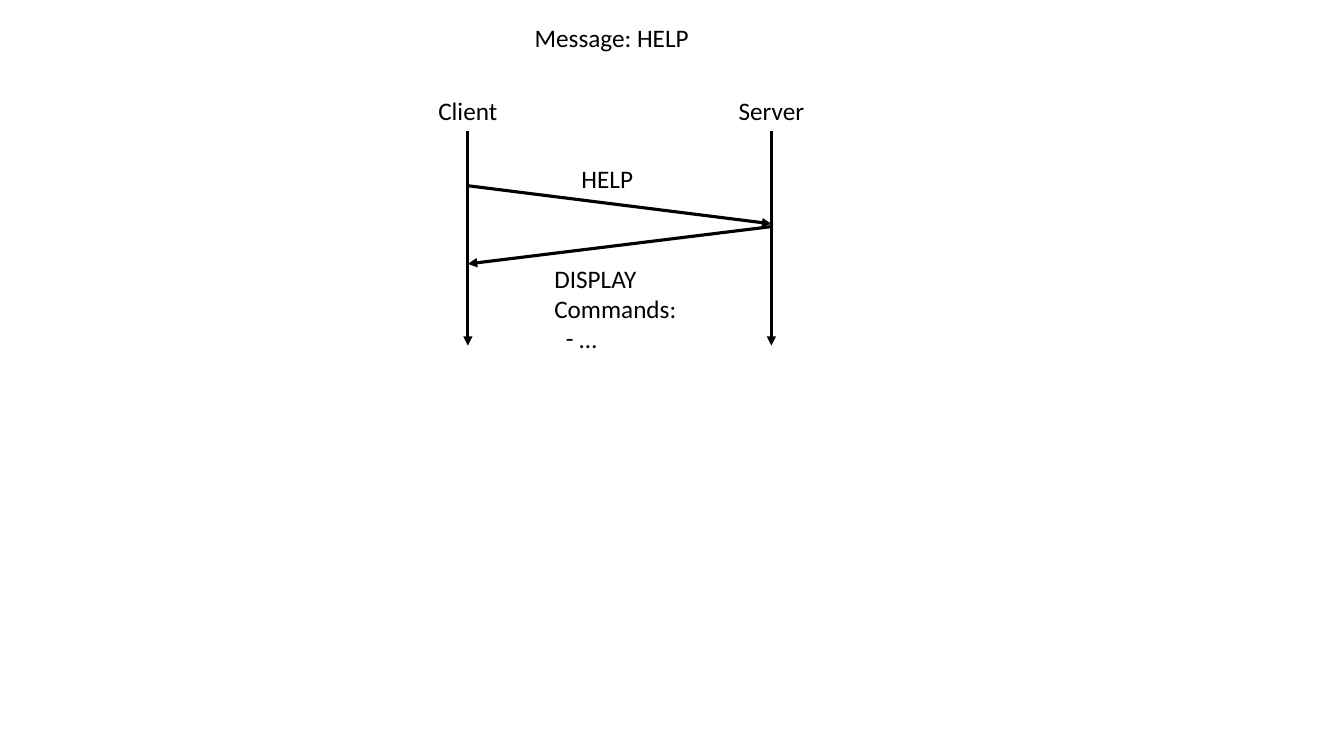
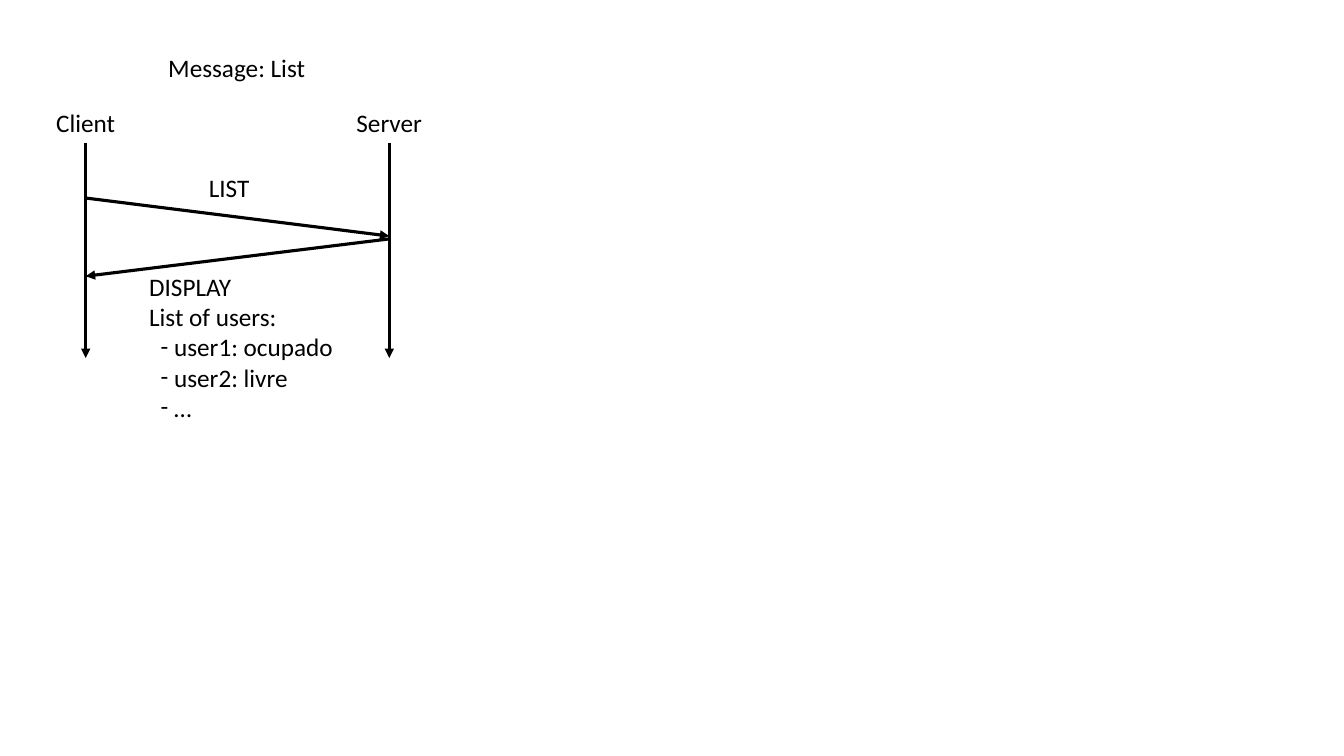
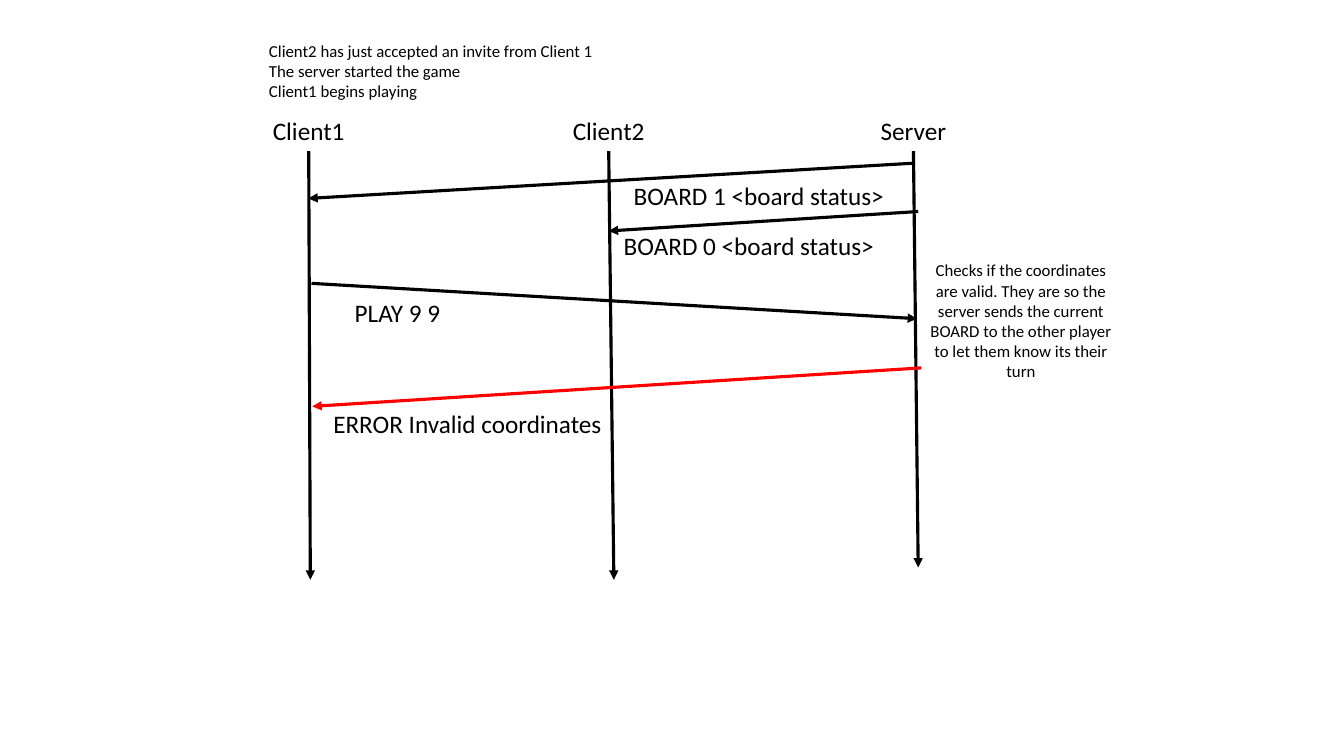
from lxml.etree import SubElement
from pptx import Presentation
from pptx.dml.color import RGBColor
from pptx.enum.shapes import MSO_CONNECTOR
from pptx.enum.text import MSO_ANCHOR, MSO_AUTO_SIZE, PP_ALIGN
from pptx.oxml.ns import qn
from pptx.util import Cm, Pt

FONT = "Calibri"
BLACK = "000000"
RED = "FF0000"
BODY_SIZE = 18
NOTE_SIZE = 12
LINE_HEIGHT = 1.02
TITLE_WIDTH = 5.89
NAME_WIDTH = 2.87
LIFELINE_GAP = 7.65
LIFELINE_LENGTH = 5.41
TITLE_ONLY = 5
BLANK = 6


def colour(hex_code):
    """Turn a hex string into a colour."""
    return RGBColor.from_string(hex_code)


def format_text(frame, size=BODY_SIZE, align=PP_ALIGN.LEFT):
    """Give every paragraph of a frame the shared text style."""
    frame.word_wrap = True
    frame.vertical_anchor = MSO_ANCHOR.TOP
    for paragraph in frame.paragraphs:
        paragraph.alignment = align
        for run in paragraph.runs:
            run.font.name = FONT
            run.font.size = Pt(size)
            run.font.color.rgb = colour(BLACK)


def add_text(slide, text, left, top, width, height=LINE_HEIGHT,
             size=BODY_SIZE, align=PP_ALIGN.LEFT):
    """Add a text box and return its frame."""
    box = slide.shapes.add_textbox(Cm(left), Cm(top), Cm(width), Cm(height))
    box.text_frame.text = text
    format_text(box.text_frame, size, align)
    return box.text_frame


def add_title(slide, text, left, top):
    """Place and format the title placeholder."""
    title = slide.shapes.title
    title.left, title.top = Cm(left), Cm(top)
    title.width, title.height = Cm(TITLE_WIDTH), Cm(LINE_HEIGHT)
    title.text_frame.text = text
    title.text_frame.auto_size = MSO_AUTO_SIZE.NONE
    format_text(title.text_frame, align=PP_ALIGN.CENTER)


def add_arrow(slide, start, end, hex_code=BLACK):
    """Draw a line with an arrowhead at its end."""
    points = [Cm(value) for value in (*start, *end)]
    arrow = slide.shapes.add_connector(MSO_CONNECTOR.STRAIGHT, *points)
    arrow.line.color.rgb = colour(hex_code)
    arrow.line.width = Pt(2.25)
    SubElement(arrow.line._get_or_add_ln(), qn("a:tailEnd"), type="triangle")
    SubElement(arrow._element.spPr, qn("a:effectLst"))


def add_participant(slide, name, start, end):
    """Draw a lifeline with its name centred above it."""
    x, top = start
    add_text(slide, name, x - NAME_WIDTH / 2, top - LINE_HEIGHT, NAME_WIDTH,
             align=PP_ALIGN.CENTER)
    add_arrow(slide, start, end)


def add_dash(paragraph):
    """Turn a paragraph into a dashed list item."""
    properties = paragraph._p.get_or_add_pPr()
    properties.set("marL", str(Cm(0.63)))
    properties.set("indent", str(Cm(-0.34)))
    SubElement(properties, qn("a:buFont"), typeface=FONT)
    SubElement(properties, qn("a:buChar"), char="-")


def add_reply(slide, heading, items, left, top, width):
    """Write the displayed reply with its dashed items."""
    lines = ["DISPLAY", heading, *items]
    frame = add_text(slide, "\n".join(lines), left, top, width,
                     1.02 + 0.77 * (len(lines) - 1))
    for paragraph in frame.paragraphs[2:]:
        add_dash(paragraph)


def add_exchange(slide, client_x, top):
    """Draw the client and server lifelines, a request and a reply."""
    server_x = client_x + LIFELINE_GAP
    for name, x in (("Client", client_x), ("Server", server_x)):
        add_participant(slide, name, (x, top), (x, top + LIFELINE_LENGTH))
    add_arrow(slide, (client_x, top + 1.38), (server_x, top + 2.34))
    add_arrow(slide, (server_x, top + 2.41), (client_x, top + 3.35))


def build_help(slide):
    """Build the HELP message slide."""
    add_title(slide, "Message: HELP", 12.47, 0.43)
    add_exchange(slide, 11.79, 3.3)
    add_text(slide, "HELP", 14.15, 3.99, 2.31, align=PP_ALIGN.CENTER)
    add_reply(slide, "Commands:", ["…"], 13.72, 6.5, 5.49)


def build_list(slide):
    """Build the LIST message slide."""
    add_title(slide, "Message: List", 3.02, 1.19)
    add_exchange(slide, 2.16, 3.61)
    add_text(slide, "LIST", 2.41, 4.22, 6.73, align=PP_ALIGN.CENTER)
    add_reply(slide, "List of users:",
              ["user1: ocupado", "user2: livre", "…"], 3.51, 6.71, 6.43)


def build_game(slide):
    """Build the game sequence slide."""
    add_text(slide, "Client2 has just accepted an invite from Client 1\n"
             "The server started the game\nClient1 begins playing",
             6.53, 0.89, 17.42, 1.8, NOTE_SIZE)
    for name, x, end in (("Client1", 7.78, (7.82, 14.61)),
                         ("Client2", 15.34, (15.47, 14.61)),
                         ("Server", 23.02, (23.14, 14.3))):
        add_participant(slide, name, (x, 3.81), end)
    for start, end, hex_code in (
            ((23.06, 4.11), (7.77, 5), BLACK),
            ((23.14, 5.33), (15.34, 5.82), BLACK),
            ((7.85, 7.14), (23.11, 8.03), BLACK),
            ((23.22, 9.27), (7.87, 10.24), RED)):
        add_arrow(slide, start, end, hex_code)
    for message, left, top, width in (
            ("BOARD 1 <board status>", 15.72, 4.42, 9.86),
            ("BOARD 0 <board status>", 15.47, 5.69, 12.95),
            ("PLAY 9 9", 8.69, 7.37, 6.43),
            ("ERROR Invalid coordinates", 8.15, 10.16, 7.49)):
        add_text(slide, message, left, top, width)
    add_text(slide, "Checks if the coordinates are valid. They are so the "
             "server sends the current BOARD to the other player to let "
             "them know its their turn",
             23.09, 6.43, 5.28, 3.33, NOTE_SIZE, PP_ALIGN.CENTER)


def main():
    """Build and save the deck."""
    deck = Presentation()
    deck.slide_width, deck.slide_height = Cm(33.87), Cm(19.05)
    for build, layout in ((build_help, TITLE_ONLY), (build_list, TITLE_ONLY),
                          (build_game, BLANK)):
        build(deck.slides.add_slide(deck.slide_layouts[layout]))
    deck.save("out.pptx")


if __name__ == "__main__":
    main()
